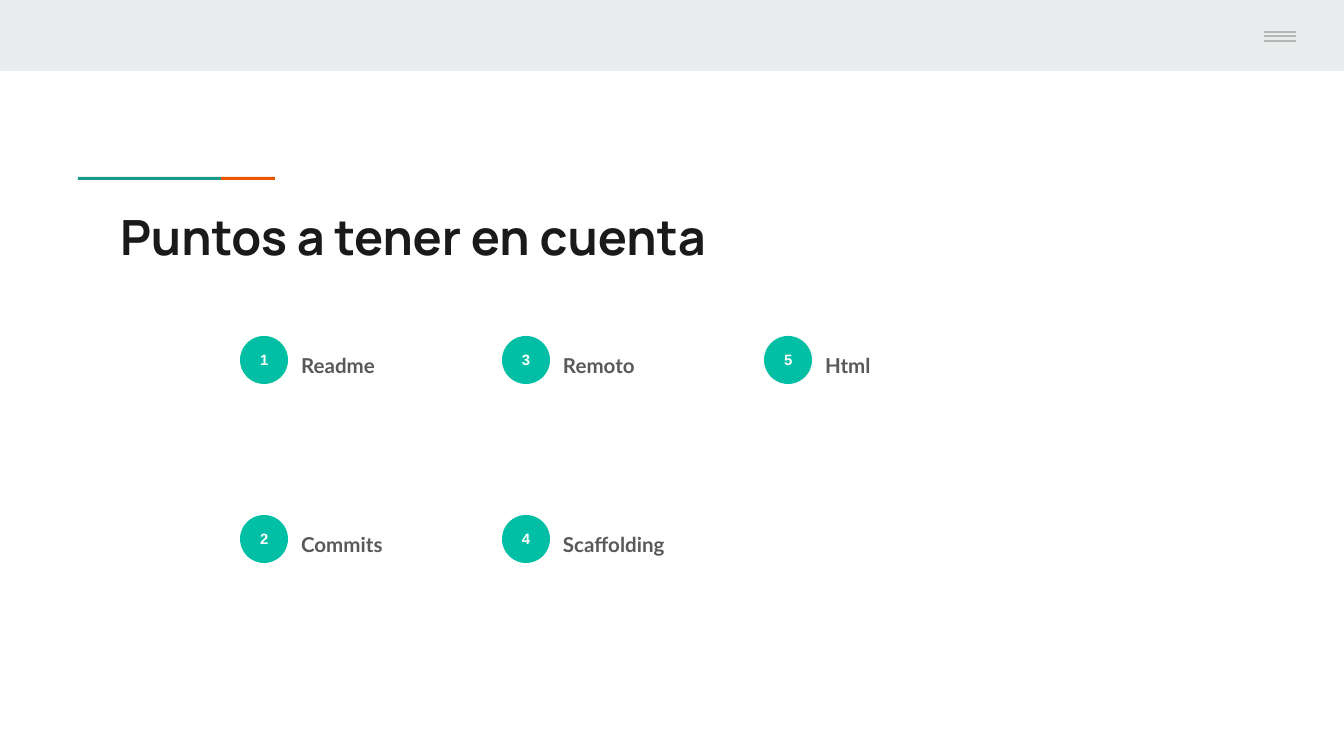
from lxml import etree
from pptx import Presentation
from pptx.dml.color import RGBColor
from pptx.enum.shapes import MSO_CONNECTOR, MSO_SHAPE
from pptx.enum.text import MSO_ANCHOR, MSO_AUTO_SIZE, PP_ALIGN
from pptx.oxml.ns import qn
from pptx.util import Pt

RECTANGLE, OVAL = MSO_SHAPE.RECTANGLE, MSO_SHAPE.OVAL
STRAIGHT = MSO_CONNECTOR.STRAIGHT
TOP, MIDDLE = MSO_ANCHOR.TOP, MSO_ANCHOR.MIDDLE
LEFT, CENTER = PP_ALIGN.LEFT, PP_ALIGN.CENTER
NO_AUTOFIT = MSO_AUTO_SIZE.NONE

HEADING = "Puntos a tener en cuenta"
POINTS = ["Readme", "Commits", "Remoto", "Scaffolding", "Html"]
BANDS = [
    ((0, 0, 1344, 71), "E9EDEE"),
    ((78, 177, 143, 3), "1A9988"),
    ((221, 177, 54, 3), "EB5600"),
]
MENU_LEFT, MENU_RIGHT = 1264, 1296
MENU_ROWS = [32, 36, 41]

ROWS = 2
GRID_LEFT, GRID_TOP = 240, 336
COLUMN_STEP, ROW_STEP = 262, 179
BADGE = 48
LABEL_WIDTH, LABEL_HEIGHT = 417, 155
INSET = 13


def px(length):
    return round(length * 914400 / 134.4)


def color(value):
    return RGBColor.from_string(value)


def add_filled(kind, box, fill):
    shape = slide.shapes.add_shape(kind, *map(px, box))
    shape.shadow.inherit = False
    shape.fill.solid()
    shape.fill.fore_color.rgb = color(fill)
    shape.line.fill.background()
    return shape


def write(shape, text, font_name, size, ink, align=LEFT, anchor=TOP):
    frame = shape.text_frame
    frame.text = text
    frame.word_wrap = True
    frame.auto_size = NO_AUTOFIT
    frame.vertical_anchor = anchor
    frame.margin_left = frame.margin_right = px(INSET)
    frame.margin_top = frame.margin_bottom = px(INSET)
    paragraph = frame.paragraphs[0]
    paragraph.alignment = align
    font = paragraph.font
    font.name, font.size, font.bold = font_name, Pt(size), True
    font.color.rgb = color(ink)
    return paragraph


prs = Presentation()
prs.slide_width, prs.slide_height = px(1344), px(756)
slide = prs.slides.add_slide(prs.slide_layouts[5])

for box, fill in BANDS:
    add_filled(RECTANGLE, box, fill)

for y in MENU_ROWS:
    menu_line = slide.shapes.add_connector(
        STRAIGHT, px(MENU_LEFT), px(y), px(MENU_RIGHT), px(y))
    menu_line.line.color.rgb = color("B7B7B7")
    menu_line.line.width = Pt(0.75)
    etree.SubElement(menu_line._element.spPr, qn("a:effectLst"))

title = slide.shapes.title
title.left, title.top, title.width, title.height = map(px, (107, 194, 1130, 79))
heading = write(title, HEADING, "Manrope", 26, "1A1A1A")
heading.line_spacing = 1.0

for index, point in enumerate(POINTS):
    column, row = divmod(index, ROWS)
    x = GRID_LEFT + column * COLUMN_STEP
    y = GRID_TOP + row * ROW_STEP
    badge = add_filled(OVAL, (x, y, BADGE, BADGE), "00BFA5")
    write(badge, str(index + 1), "Arial", 8, "FFFFFF", CENTER, MIDDLE)
    label = slide.shapes.add_textbox(
        *map(px, (x + BADGE, y, LABEL_WIDTH, LABEL_HEIGHT)))
    label_text = write(label, point, "Lato", 11, "595959")
    label_text.line_spacing = 1.15
    label_text.space_after = Pt(16)

prs.save("out.pptx")
